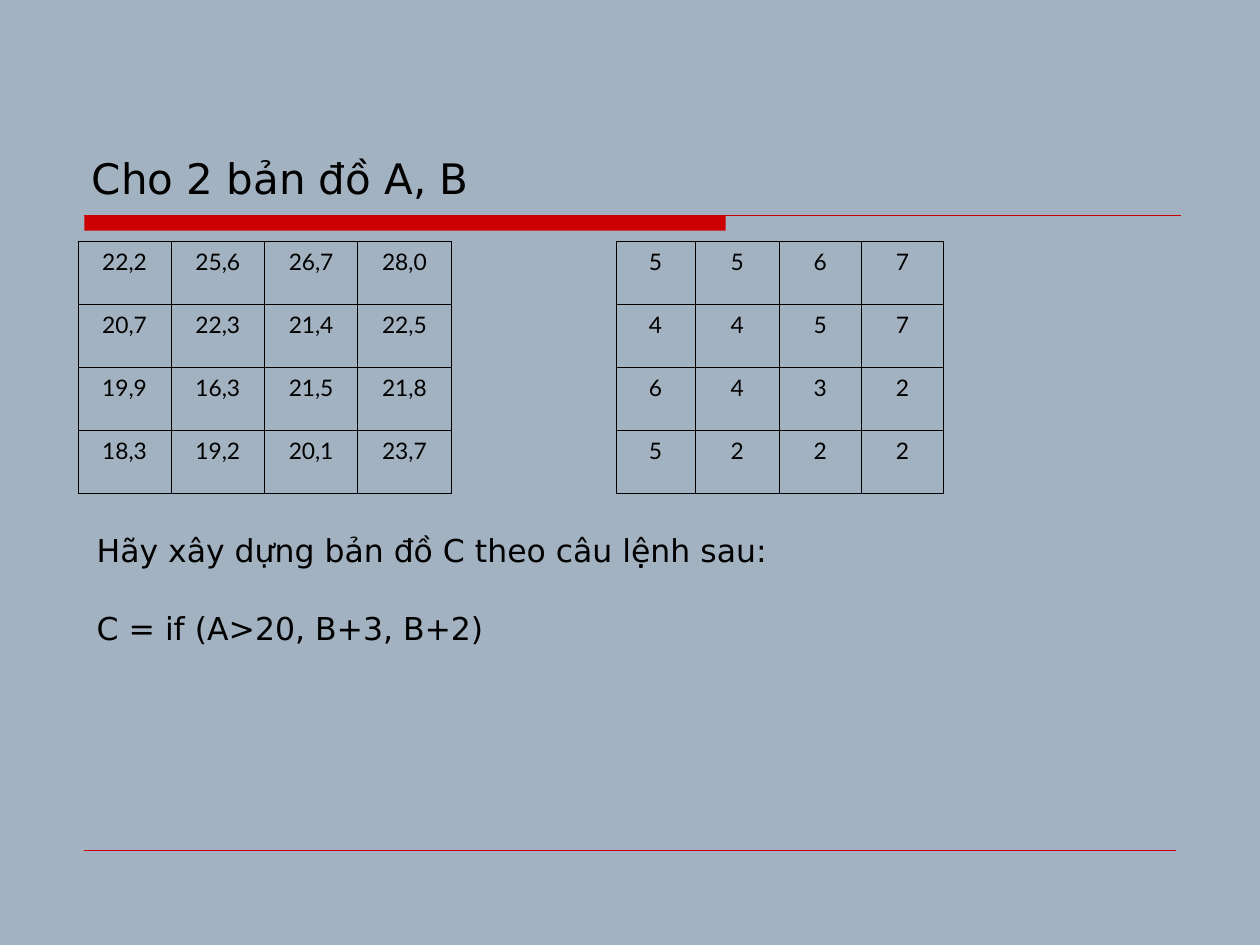
from lxml import etree
from pptx import Presentation
from pptx.dml.color import RGBColor
from pptx.enum.shapes import MSO_CONNECTOR, MSO_SHAPE
from pptx.enum.text import MSO_ANCHOR, PP_ALIGN
from pptx.oxml.ns import qn
from pptx.util import Cm, Pt

STRAIGHT = MSO_CONNECTOR.STRAIGHT
RECTANGLE = MSO_SHAPE.RECTANGLE
TOP, BOTTOM = MSO_ANCHOR.TOP, MSO_ANCHOR.BOTTOM
CENTER = PP_ALIGN.CENTER

# Content
TITLE = "Cho 2 bản đồ A, B"
MAP_A = [
    ["22,2", "25,6", "26,7", "28,0"],
    ["20,7", "22,3", "21,4", "22,5"],
    ["19,9", "16,3", "21,5", "21,8"],
    ["18,3", "19,2", "20,1", "23,7"],
]
MAP_B = [
    ["5", "5", "6", "7"],
    ["4", "4", "5", "7"],
    ["6", "4", "3", "2"],
    ["5", "2", "2", "2"],
]
TASK = ["Hãy xây dựng bản đồ C theo câu lệnh sau:", "C = if (A>20, B+3, B+2)"]

COLORS = {"background": "A3B2C1", "accent": "CC0000", "text": "000000"}
TEXT_FONT, TABLE_FONT = "DejaVu Sans", "Lato"

# Layout in centimetres
COLUMN_WIDTHS = [1.88] * 4 + [3.33, 1.59, 1.7, 1.65, 1.66]
ROW_HEIGHT = 1.27
GAP_COLUMN = len(MAP_A[0])
RULE_LEFT, RULE_TOP = 1.7, 4.34


def color(name):
    return RGBColor.from_string(COLORS[name])


def format_paragraph(paragraph, font_name, size):
    for run in paragraph.runs:
        run.font.name = font_name
        run.font.size = Pt(size)
        run.font.color.rgb = color("text")


def add_text(slide, box, lines, size, anchor=TOP, gap=0):
    text_frame = slide.shapes.add_textbox(*map(Cm, box)).text_frame
    text_frame.word_wrap = True
    text_frame.vertical_anchor = anchor
    text_frame.text = "\n".join(lines)
    for index, paragraph in enumerate(text_frame.paragraphs):
        if index:
            paragraph.space_before = Pt(gap)
        format_paragraph(paragraph, TEXT_FONT, size)


def add_rule(slide, left, top, right, width):
    line = slide.shapes.add_connector(STRAIGHT, Cm(left), Cm(top), Cm(right), Cm(top))
    line.line.color.rgb = color("accent")
    line.line.width = Pt(width)
    etree.SubElement(line._element.spPr, qn("a:effectLst"))


def set_borders(cell, visible_sides):
    properties = cell._tc.get_or_add_tcPr()
    for index, side in enumerate("LRTB"):
        border = etree.Element(qn(f"a:ln{side}"), w=str(Pt(0.45)))
        if side in visible_sides:
            fill = etree.SubElement(border, qn("a:solidFill"))
            etree.SubElement(fill, qn("a:srgbClr"), val=COLORS["text"])
        else:
            etree.SubElement(border, qn("a:noFill"))
        properties.insert(index, border)


def add_maps(slide, left, top):
    rows = [a + [""] + b for a, b in zip(MAP_A, MAP_B)]
    table = slide.shapes.add_table(
        len(rows), len(COLUMN_WIDTHS), Cm(left), Cm(top),
        Cm(sum(COLUMN_WIDTHS)), Cm(ROW_HEIGHT * len(rows)),
    ).table
    table.first_row = table.horz_banding = False
    for column, width in zip(table.columns, COLUMN_WIDTHS):
        column.width = Cm(width)
    for row_index, values in enumerate(rows):
        table.rows[row_index].height = Cm(ROW_HEIGHT)
        for column_index, value in enumerate(values):
            cell = table.cell(row_index, column_index)
            cell.fill.background()
            # The gap between the maps has only its side borders
            set_borders(cell, "LR" if column_index == GAP_COLUMN else "LRTB")
            cell.text_frame.text = value
            paragraph = cell.text_frame.paragraphs[0]
            paragraph.alignment = CENTER
            format_paragraph(paragraph, TABLE_FONT, 13)


def main():
    presentation = Presentation()
    presentation.slide_width, presentation.slide_height = Cm(25.4), Cm(19.05)
    slide = presentation.slides.add_slide(presentation.slide_layouts[6])
    slide.background.fill.solid()
    slide.background.fill.fore_color.rgb = color("background")

    # Title rule: thick bar, thin line, and a footer line
    bar = slide.shapes.add_shape(
        RECTANGLE, Cm(RULE_LEFT), Cm(RULE_TOP), Cm(12.93), Cm(0.31))
    bar.shadow.inherit = False
    bar.fill.solid()
    bar.fill.fore_color.rgb = color("accent")
    bar.line.fill.background()
    add_rule(slide, RULE_LEFT, RULE_TOP, 23.8, 0.75)
    add_rule(slide, RULE_LEFT, 17.14, 23.7, 0.25)

    # Title, maps and task
    add_text(slide, (1.6, 0.84, 22.22, 3.38), [TITLE], 24, anchor=BOTTOM)
    add_maps(slide, 1.57, 4.87)
    add_text(slide, (1.7, 10.59, 20.96, 2.54), TASK, 18, gap=22.5)

    presentation.save("out.pptx")


if __name__ == "__main__":
    main()
